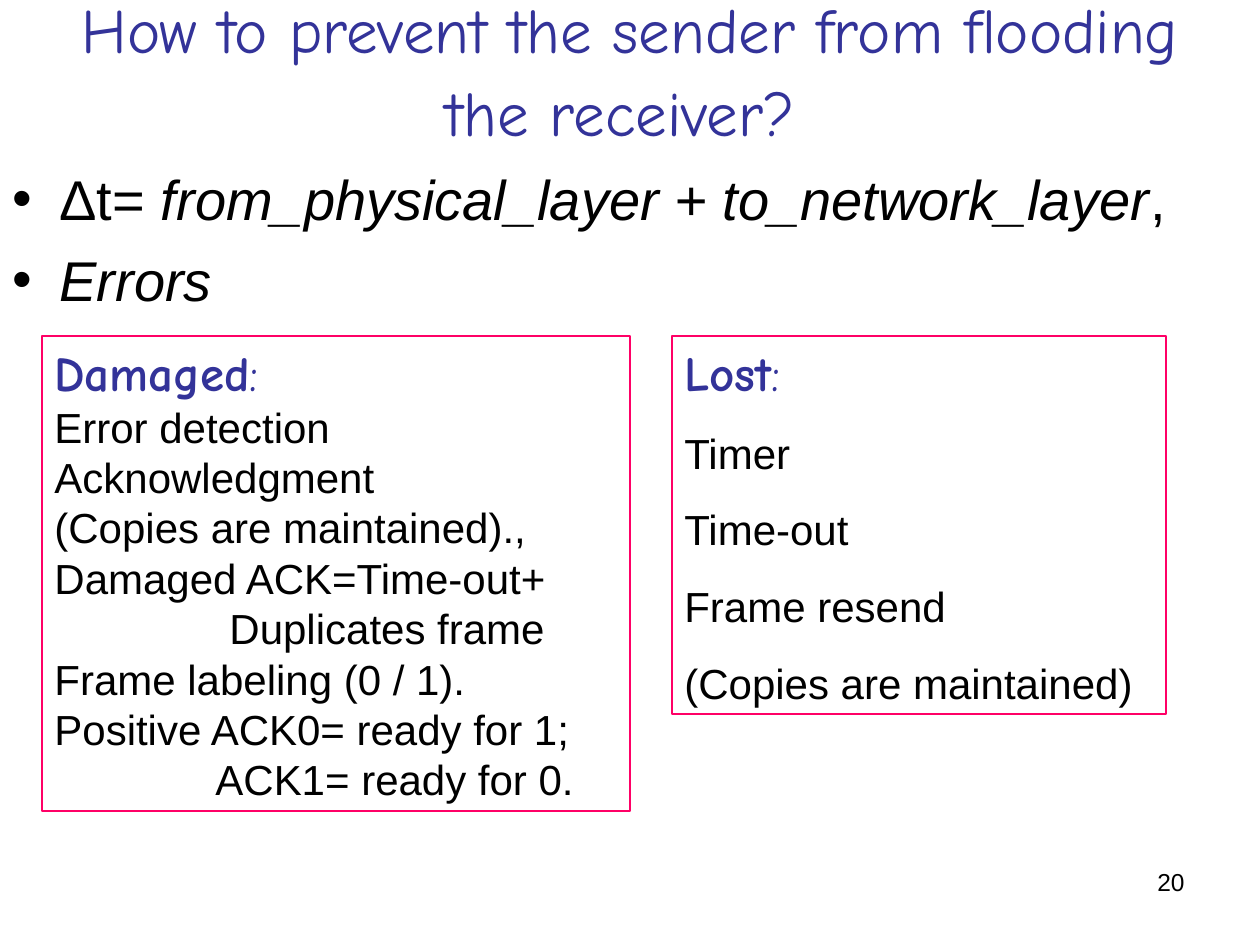
"""Build the slide on keeping a sender from flooding its receiver."""
from dataclasses import dataclass

from pptx import Presentation
from pptx.dml.color import RGBColor
from pptx.enum.shapes import MSO_SHAPE
from pptx.enum.text import MSO_ANCHOR, MSO_AUTO_SIZE, PP_ALIGN
from pptx.util import Emu, Pt

RECT = MSO_SHAPE.RECTANGLE
TOP, MIDDLE = MSO_ANCHOR.TOP, MSO_ANCHOR.MIDDLE
FIXED, GROW = MSO_AUTO_SIZE.NONE, MSO_AUTO_SIZE.SHAPE_TO_FIT_TEXT
LEFT, CENTER, RIGHT = PP_ALIGN.LEFT, PP_ALIGN.CENTER, PP_ALIGN.RIGHT
SCALE = 914400 / 126


@dataclass(frozen=True)
class Theme:
    """Colours, fonts and type sizes."""
    ink: str = "000000"
    blue: str = "333399"
    pink: str = "FF0066"
    plain: str = "Arial"
    comic: str = "Comic Neue"
    title: int = 36
    gap: int = 40
    list: int = 32
    head: int = 28
    text: int = 24
    page: int = 14


THEME = Theme()


@dataclass(frozen=True)
class Run:
    """A stretch of text in one style."""
    text: str
    size: int = THEME.text
    font: str = THEME.plain
    color: str = THEME.ink
    bold: bool = False
    slant: bool = False


@dataclass(frozen=True)
class Line:
    """A paragraph with its spacing and indents."""
    runs: tuple[Run, ...]
    align: PP_ALIGN = LEFT
    before: float = 0
    left: int = 0
    hang: int = 0


@dataclass(frozen=True)
class Box:
    """A place on the slide in px."""
    left: int
    top: int
    width: int
    height: int


@dataclass(frozen=True)
class Card:
    """A framed list under a heading."""
    box: Box
    head: str
    items: tuple[tuple[str, int], ...]
    first: float = 0
    before: float = 0


CARDS = (
    Card(Box(42, 336, 588, 475), "Damaged", (
        ("Error detection", 0),
        ("Acknowledgment", 0),
        ("(Copies are maintained).,", 0),
        ("Damaged ACK=Time-out+", 0),
        ("Duplicates frame", 175),
        ("Frame labeling (0 / 1).", 0),
        ("Positive ACK0= ready for 1;", 0),
        ("ACK1= ready for 0.", 161),
    )),
    Card(Box(672, 336, 494, 378), "Lost", (
        ("Timer", 0),
        ("Time-out", 0),
        ("Frame resend", 0),
        ("(Copies are maintained)", 0),
    ), 17.5, 15),
)


def px(size: int) -> Emu:
    """Turn px into EMU."""
    return Emu(round(size * SCALE))


def place(shape, box: Box) -> None:
    """Move and size a shape."""
    shape.left, shape.top = px(box.left), px(box.top)
    shape.width, shape.height = px(box.width), px(box.height)


def write(shape, lines: list[Line], anchor=TOP, fit=FIXED) -> None:
    """Fill a shape with styled lines."""
    frame = shape.text_frame
    frame.word_wrap = True
    frame.auto_size = fit
    frame.vertical_anchor = anchor
    for spot, line in enumerate(lines):
        para = frame.add_paragraph() if spot else frame.paragraphs[0]
        para.alignment = line.align
        para.space_before = Pt(line.before)
        props = para._p.get_or_add_pPr()
        props.set("marL", str(px(line.left)))
        props.set("indent", str(px(-line.hang)))
        for part in line.runs:
            run = para.add_run()
            run.text = part.text
            font = run.font
            font.name, font.size = part.font, Pt(part.size)
            font.bold, font.italic = part.bold, part.slant
            font.color.rgb = RGBColor.from_string(part.color)


def draw_card(slide, card: Card) -> None:
    """Draw one framed list."""
    shape = slide.shapes.add_shape(RECT, 0, 0, 0, 0)
    place(shape, card.box)
    shape.shadow.inherit = False
    shape.fill.background()
    shape.line.color.rgb = RGBColor.from_string(THEME.pink)
    shape.line.width = Pt(1.5)
    style = (THEME.head, THEME.comic, THEME.blue)
    head = Line((Run(card.head, *style, bold=True), Run(":", *style)),
                before=card.first)
    items = [Line((Run(text),), before=card.before, left=left)
             for text, left in card.items]
    write(shape, [head, *items], fit=GROW)


def main() -> None:
    """Build and save the slide."""
    deck = Presentation()
    deck.slide_width, deck.slide_height = px(1260), px(945)
    slide = deck.slides.add_slide(deck.slide_layouts[1])

    title, body = slide.placeholders
    place(title, Box(63, 0, 1134, 141))
    ask = "How to prevent the sender from flooding the receiver?"
    write(title, [Line((
        Run(ask, THEME.title, THEME.comic, THEME.blue),
        Run(" ", THEME.gap),
    ), CENTER)], MIDDLE)

    place(body, Box(0, 158, 1260, 787))
    size = THEME.list
    sum_text = "from_physical_layer + to_network_layer"
    points = (
        (Run("Δt= ", size), Run(sum_text, size, slant=True), Run(",", size)),
        (Run("Errors", size, slant=True),),
    )
    write(body, [Line(runs, before=8, left=47, hang=47) for runs in points])

    for card in CARDS:
        draw_card(slide, card)

    page = slide.shapes.add_textbox(0, 0, 0, 0)
    place(page, Box(903, 861, 294, 65))
    write(page, [Line((Run("20", THEME.page),), RIGHT)])
    deck.save("out.pptx")


if __name__ == "__main__":
    main()
